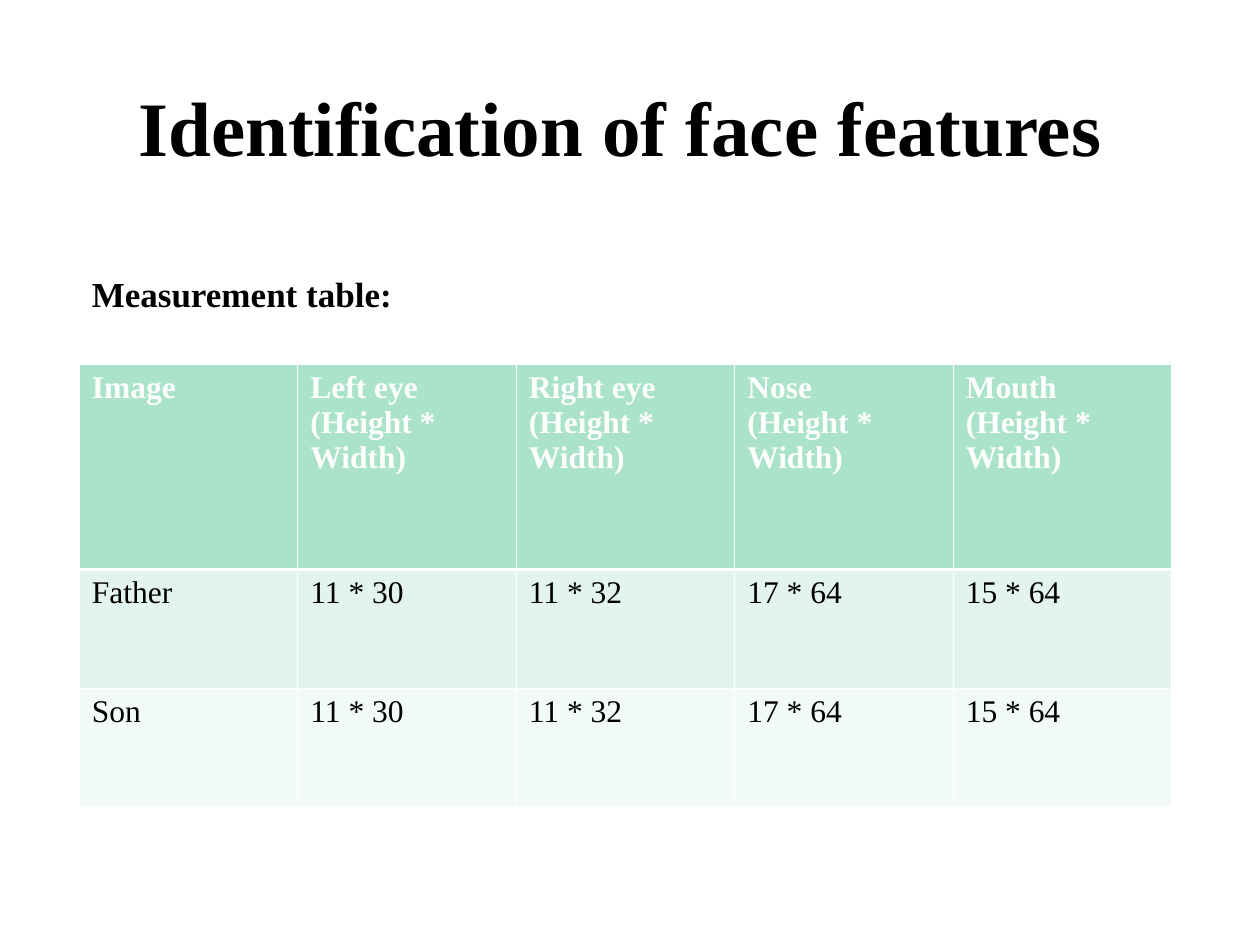
from pptx import Presentation
from pptx.dml.color import RGBColor
from pptx.enum.text import MSO_ANCHOR, PP_ALIGN
from pptx.oxml.ns import qn
from pptx.util import Inches, Pt
from lxml.etree import SubElement

TITLE = "Identification of face features"
CAPTION = "Measurement table:"
MEASURE = "(Height * Width)"
HEADER = ["Image"] + [f"{part}\n{MEASURE}" for part in ("Left eye", "Right eye", "Nose", "Mouth")]
SIZES = ["11 * 30", "11 * 32", "17 * 64", "15 * 64"]
ROWS = [HEADER, ["Father"] + SIZES, ["Son"] + SIZES]
ROW_HEIGHTS = [1.63, 0.94, 0.94]
ROW_FILLS = ["AAE2CA", "E2F4EC", "F1FAF6"]
TABLE_LEFT, TABLE_TOP, TABLE_WIDTH = 0.63, 2.89, 8.67
THIN, THICK = 0.45, 1.47

TITLE_FONT = {"name": "Times New Roman", "size": Pt(44), "bold": True}
CAPTION_FONT = {**TITLE_FONT, "size": Pt(20)}
HEADER_FONT = {**TITLE_FONT, "size": Pt(18)}
BODY_FONT = {**HEADER_FONT, "bold": False}


def color(value):
    return RGBColor.from_string(value)


def write(frame, text, font, font_color, align=PP_ALIGN.LEFT):
    frame.text = text
    for paragraph in frame.paragraphs:
        paragraph.alignment = align
        for run in paragraph.runs:
            for name, value in font.items():
                setattr(run.font, name, value)
            run.font.color.rgb = color(font_color)


def add_text(slide, box, text, font, frame_format, align=PP_ALIGN.LEFT):
    shape = slide.shapes.add_textbox(*map(Inches, box))
    for name, value in frame_format.items():
        setattr(shape.text_frame, name, value)
    write(shape.text_frame, text, font, "000000", align)


def set_borders(cell, widths):
    properties = cell._tc.get_or_add_tcPr()
    for index, (side, width) in enumerate(widths.items()):
        line = properties.makeelement(qn(f"a:ln{side}"), {"w": str(Pt(width))})
        fill = SubElement(line, qn("a:solidFill"))
        SubElement(fill, qn("a:srgbClr"), val="FFFFFF")
        properties.insert(index, line)


def add_measurements(slide):
    table = slide.shapes.add_table(
        len(ROWS), len(HEADER), Inches(TABLE_LEFT), Inches(TABLE_TOP),
        Inches(TABLE_WIDTH), Inches(sum(ROW_HEIGHTS))).table
    for column in table.columns:
        column.width = Inches(TABLE_WIDTH / len(HEADER))
    for r, values in enumerate(ROWS):
        table.rows[r].height = Inches(ROW_HEIGHTS[r])
        font, font_color = (BODY_FONT, "000000") if r else (HEADER_FONT, "FFFFFF")
        borders = {"L": THIN, "R": THIN,
                   "T": THICK if r == 1 else THIN,
                   "B": THICK if r == 0 else THIN}
        for c, text in enumerate(values):
            cell = table.cell(r, c)
            cell.fill.solid()
            cell.fill.fore_color.rgb = color(ROW_FILLS[r])
            write(cell.text_frame, text, font, font_color)
            set_borders(cell, borders)


def main():
    presentation = Presentation()
    presentation.slide_width, presentation.slide_height = Inches(10), Inches(7.5)
    slide = presentation.slides.add_slide(presentation.slide_layouts[6])
    add_text(slide, (0.75, 0.63, 8.5, 1.25), TITLE, TITLE_FONT,
             {"word_wrap": True, "vertical_anchor": MSO_ANCHOR.TOP, "margin_top": 0,
              "margin_left": 0, "margin_right": Inches(0.15)}, PP_ALIGN.CENTER)
    add_measurements(slide)
    add_text(slide, (TABLE_LEFT, 2.11, 2.59, 0.44), CAPTION, CAPTION_FONT,
             {"word_wrap": False})
    presentation.save("out.pptx")


if __name__ == "__main__":
    main()
